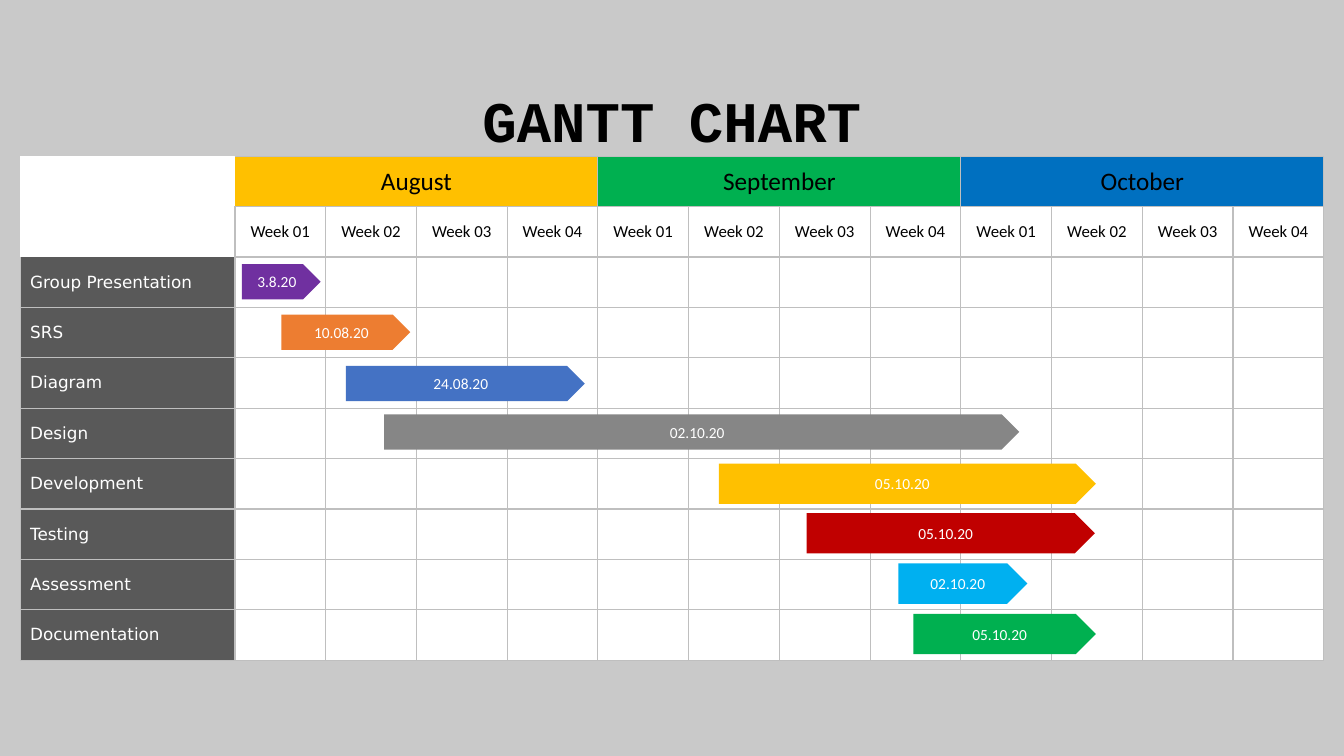
from pptx import Presentation
from pptx.dml.color import RGBColor as RGB
from pptx.enum.shapes import MSO_SHAPE as Shape
from pptx.enum.text import MSO_ANCHOR as Anchor, MSO_AUTO_SIZE as Fit, PP_ALIGN as Align
from pptx.oxml.ns import qn
from pptx.util import Inches, Pt
from lxml.etree import SubElement

HUES = {
    "back": "C9C9C9", "white": "FFFFFF", "black": "000000", "line": "BFBFBF",
    "dark": "595959", "gold": "FFC000", "green": "00B050", "blue": "0070C0",
    "violet": "7030A0", "orange": "ED7D31", "azure": "4472C4",
    "grey": "868686", "red": "C00000", "sky": "00B0F0",
}
MONTHS = [("August", "gold"), ("September", "green"), ("October", "blue")]
WEEKS = 4
# Task, date, hue, start and length from the first week, drop in its row, height
TASKS = [
    ("Group Presentation", "3.8.20", "violet", 0.07, 0.78, 0.07, 0.35),
    ("SRS", "10.08.20", "orange", 0.46, 1.28, 0.07, 0.35),
    ("Diagram", "24.08.20", "azure", 1.10, 2.37, 0.08, 0.35),
    ("Design", "02.10.20", "grey", 1.48, 6.30, 0.06, 0.35),
    ("Development", "05.10.20", "gold", 4.80, 3.74, 0.05, 0.40),
    ("Testing", "05.10.20", "red", 5.67, 2.86, 0.04, 0.40),
    ("Assessment", "02.10.20", "sky", 6.58, 1.28, 0.04, 0.40),
    ("Documentation", "05.10.20", "green", 6.73, 1.81, 0.04, 0.40),
]
NAMES, ROW, COL = 2.13, 0.5, 0.9
HEADS = 2


def paint(fill, hue):
    fill.solid()
    fill.fore_color.rgb = RGB.from_string(HUES[hue])


def write(frame, text, size, font, hue, align=Align.CENTER, bold=False):
    para = frame.paragraphs[0]
    para.alignment = align
    run = para.add_run()
    run.text = text
    run.font.size, run.font.name, run.font.bold = Pt(size), font, bold
    run.font.color.rgb = RGB.from_string(HUES[hue])


def edge(cell, sides):
    """Draw the listed sides of a cell and clear the others."""
    props = cell._tc.get_or_add_tcPr()
    for side in "LRTB":
        line = SubElement(props, qn("a:ln" + side), w=str(Pt(1)))
        if side in sides:
            fill = SubElement(line, qn("a:solidFill"))
            SubElement(fill, qn("a:srgbClr"), val=HUES["line"])
        else:
            SubElement(line, qn("a:noFill"))


def add_title(slide, left, top, width, height):
    title = slide.shapes.title
    title.left, title.top = Inches(left), Inches(top)
    title.width, title.height = Inches(width), Inches(height)
    frame = title.text_frame
    frame.auto_size, frame.word_wrap = Fit.NONE, True
    frame.vertical_anchor = Anchor.TOP
    frame.margin_top, frame.margin_bottom = Inches(0.2), 0
    write(frame, "GANTT CHART", 41, "Courier New", "black", bold=True)


def add_grid(slide, left, top):
    rows, cols = HEADS + len(TASKS), 1 + WEEKS * len(MONTHS)
    table = slide.shapes.add_table(
        rows, cols, Inches(left), Inches(top),
        Inches(NAMES + COL * (cols - 1)), Inches(ROW * rows)).table
    table.first_row = table.horz_banding = False
    for i, col in enumerate(table.columns):
        col.width = Inches(COL if i else NAMES)

    # Borders, fills and task names
    corner = {(0, 0): "", (1, 0): "R", (2, 0): "LRB", (0, 1): "TRB"}
    for r in range(rows):
        table.rows[r].height = Inches(ROW)
        for c in range(cols):
            cell = table.cell(r, c)
            cell.vertical_anchor = Anchor.MIDDLE
            edge(cell, corner.get((r, c), "LRTB"))
            named = c == 0 and r >= HEADS
            paint(cell.fill, "dark" if named else "white")
            if named:
                write(cell.text_frame, TASKS[r - HEADS][0], 12,
                      "DejaVu Sans", "white", Align.LEFT)

    # Months with their weeks
    for m, (month, hue) in enumerate(MONTHS):
        first = 1 + m * WEEKS
        head = table.cell(0, first)
        head.merge(table.cell(0, first + WEEKS - 1))
        paint(head.fill, hue)
        write(head.text_frame, month, 18, "Calibri", "black")
        for w in range(WEEKS):
            write(table.cell(1, first + w).text_frame, f"Week {w + 1:02}",
                  12, "Calibri", "black")


def add_bars(slide, left, top):
    for i, (_, date, hue, start, length, drop, height) in enumerate(TASKS):
        bar = slide.shapes.add_shape(
            Shape.PENTAGON, Inches(left + start), Inches(top + i * ROW + drop),
            Inches(length), Inches(height))
        bar.shadow.inherit = False
        paint(bar.fill, hue)
        bar.line.fill.background()
        bar.text_frame.word_wrap = True
        bar.text_frame.vertical_anchor = Anchor.MIDDLE
        write(bar.text_frame, date, 11, "Calibri", "white")


def main():
    deck = Presentation()
    deck.slide_width, deck.slide_height = Inches(13.33), Inches(7.5)
    slide = deck.slides.add_slide(deck.slide_layouts[5])
    paint(slide.background.fill, "back")
    left, top = 0.2, 1.55
    add_title(slide, 3.02, 0.64, 7.29, 0.84)
    add_grid(slide, left, top)
    add_bars(slide, left + NAMES, top + HEADS * ROW)
    deck.save("out.pptx")


if __name__ == "__main__":
    main()
